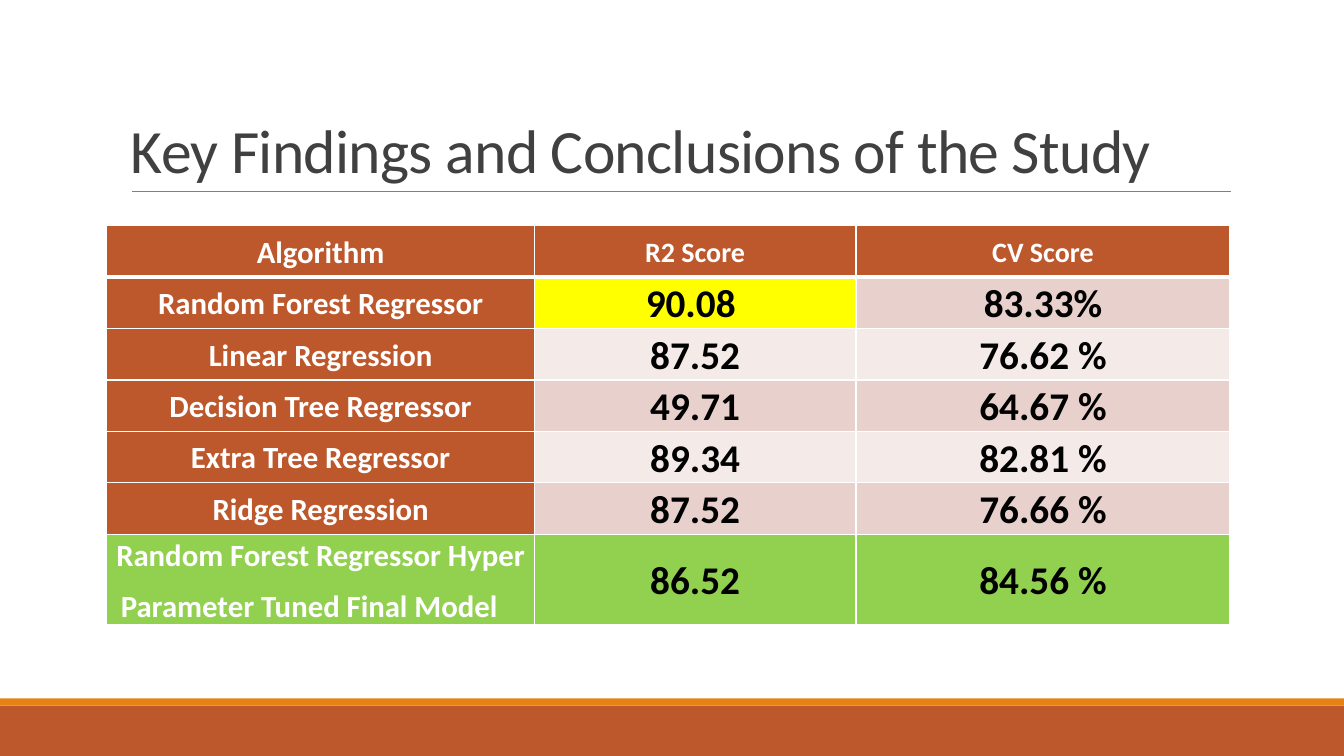
import pptx
import pptx.dml.color
import pptx.enum.shapes
import pptx.enum.text
import pptx.oxml
import pptx.oxml.ns
import pptx.util

Inches, Pt = pptx.util.Inches, pptx.util.Pt
RGBColor = pptx.dml.color.RGBColor
ANCHOR = pptx.enum.text.MSO_ANCHOR
ALIGN = pptx.enum.text.PP_ALIGN

RUST = RGBColor(0xBD, 0x58, 0x2C)
ORANGE = RGBColor(0xE4, 0x83, 0x12)
GRAY = RGBColor(0x80, 0x80, 0x80)
DARK = RGBColor(0x40, 0x40, 0x40)
WHITE = RGBColor(0xFF, 0xFF, 0xFF)
BLACK = RGBColor(0, 0, 0)
YELLOW = RGBColor(0xFF, 0xFF, 0)
GREEN = RGBColor(0x92, 0xD0, 0x50)
BANDS = RGBColor(0xE8, 0xD1, 0xCD), RGBColor(0xF4, 0xEA, 0xE8)

FONT = "Calibri"
SLIDE_W, SLIDE_H = 13.33, 7.5
COLUMN_WIDTHS = 4.24, 3.19, 3.71
ROW_HEIGHT, FINAL_ROW_HEIGHT = 0.51, 0.9
SCORES = [
    ("Algorithm", "R2 Score", "CV Score"),
    ("Random Forest Regressor", "90.08 ", "83.33%"),
    ("Linear Regression", "87.52", "76.62 %"),
    ("Decision Tree Regressor", "49.71", "64.67 %"),
    ("Extra Tree Regressor", "89.34", "82.81 %"),
    ("Ridge Regression", "87.52", "76.66 %"),
    ("Random Forest Regressor Hyper\n Parameter Tuned Final Model", "86.52", "84.56 %"),
]
FINAL_ROW = len(SCORES) - 1
CELL_FORMAT = dict(margin_left=Inches(0.07), margin_right=Inches(0.07),
                   margin_top=0, margin_bottom=0, vertical_anchor=ANCHOR.MIDDLE)


def apply(target, values):
    for name, value in values.items():
        setattr(target, name, value)


def style_font(font, size, color, bold=False):
    apply(font, dict(name=FONT, size=Pt(size), bold=bold))
    font.color.rgb = color


def add_footer(slide, left, top, width, height):
    stripe = 0.07
    bands = (RUST, top + stripe, height - stripe), (ORANGE, top, stripe)
    for color, band_top, band_height in bands:
        band = slide.shapes.add_shape(
            pptx.enum.shapes.MSO_SHAPE.RECTANGLE,
            Inches(left), Inches(band_top), Inches(width), Inches(band_height))
        band.shadow.inherit = False
        band.fill.solid()
        band.fill.fore_color.rgb = color
        band.line.fill.background()


def add_title(slide, left, top, width, height):
    bottom = Inches(top + height)
    rule = slide.shapes.add_connector(
        pptx.enum.shapes.MSO_CONNECTOR.STRAIGHT,
        Inches(left + 0.11), bottom, Inches(left + width + 0.01), bottom)
    rule.line.color.rgb = GRAY
    rule.line.width = Pt(0.5)
    pptx.oxml.ns.qn("a:effectLst")
    rule_properties = rule.element.spPr
    rule_properties.append(rule_properties.makeelement(pptx.oxml.ns.qn("a:effectLst")))

    title = slide.shapes.add_textbox(
        Inches(left), Inches(top), Inches(width), Inches(height)).text_frame
    apply(title, dict(word_wrap=True, vertical_anchor=ANCHOR.BOTTOM))
    heading = title.paragraphs[0]
    heading.line_spacing = 0.85
    words = heading.add_run()
    words.text = "Key Findings and Conclusions of the Study"
    style_font(words.font, 44, DARK)
    words.font._element.set("spc", "-50")


def cell_fill(row, column):
    if row == FINAL_ROW:
        return GREEN
    if row == 0 or column == 0:
        return RUST
    if (row, column) == (1, 1):  # best R2 score
        return YELLOW
    return BANDS[(row - 1) % 2]


def add_borders(cell, row):
    points = dict(lnL=1, lnR=1, lnT=3 if row == 1 else 1, lnB=3 if row == 0 else 1)
    properties = cell._tc.get_or_add_tcPr()
    for side, width in points.items():
        properties.append(pptx.oxml.parse_xml(
            f'<a:{side} {pptx.oxml.ns.nsdecls("a")} w="{Pt(width)}"><a:solidFill>'
            f'<a:srgbClr val="{WHITE}"/></a:solidFill></a:{side}>'))


def fill_cell(cell, row, column, text):
    apply(cell, CELL_FORMAT)
    add_borders(cell, row)
    cell.fill.solid()
    cell.fill.fore_color.rgb = cell_fill(row, column)
    is_score = row > 0 and column > 0
    size = 28 if is_score else 20 if column > 0 else 22
    cell.text_frame.text = text
    for index, paragraph in enumerate(cell.text_frame.paragraphs):
        apply(paragraph, dict(alignment=ALIGN.LEFT if index else ALIGN.CENTER,
                              line_spacing=1.07, space_after=Pt(8)))
        style_font(paragraph.runs[0].font, size, BLACK if is_score else WHITE, bold=True)


def add_scores(slide, left, top, width, height):
    table = slide.shapes.add_table(
        len(SCORES), len(COLUMN_WIDTHS),
        Inches(left), Inches(top), Inches(width), Inches(height)).table
    apply(table, dict(first_row=False, horz_banding=False))
    for column, column_width in zip(table.columns, COLUMN_WIDTHS):
        column.width = Inches(column_width)
    for row, texts in enumerate(SCORES):
        table.rows[row].height = Inches(FINAL_ROW_HEIGHT if row == FINAL_ROW else ROW_HEIGHT)
        for column, text in enumerate(texts):
            fill_cell(table.cell(row, column), row, column, text)


presentation = pptx.Presentation()
apply(presentation, dict(slide_width=Inches(SLIDE_W), slide_height=Inches(SLIDE_H)))
findings = presentation.slides.add_slide(presentation.slide_layouts[6])
add_footer(findings, 0, 6.93, SLIDE_W, SLIDE_H - 6.93)
add_title(findings, 1.2, 0.31, 11, 1.59)
add_scores(findings, 1.06, 2.24, sum(COLUMN_WIDTHS),
           FINAL_ROW * ROW_HEIGHT + FINAL_ROW_HEIGHT)
presentation.save("out.pptx")
